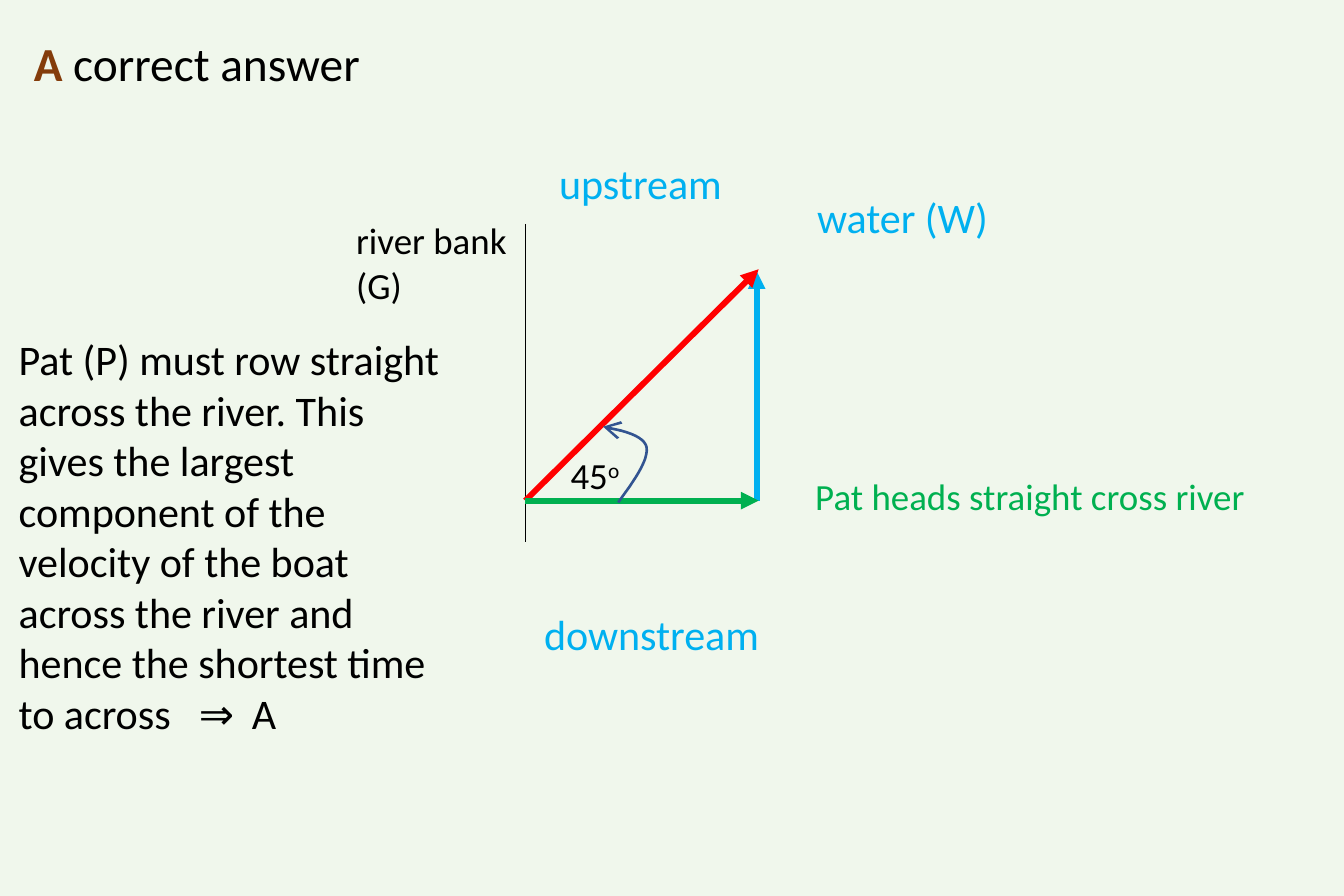
from lxml import etree
from pptx import Presentation
from pptx.dml.color import RGBColor
from pptx.enum.shapes import MSO_CONNECTOR
from pptx.oxml.ns import qn
from pptx.util import Inches, Pt

STRAIGHT = MSO_CONNECTOR.STRAIGHT
BLACK, WATER, PAT, RESULTANT = "000000", "00B0F0", "00B050", "FF0000"
BROWN, ANGLE = "843C0B", "325491"


def rgb(value):
    return RGBColor.from_string(value)


def style_line(stroke, color, width, head=None):
    stroke.line.color.rgb = rgb(color)
    stroke.line.width = Pt(width)
    if head:
        ln = stroke.line._get_or_add_ln()
        etree.SubElement(ln, qn("a:tailEnd"), type=head)


deck = Presentation()
deck.slide_width, deck.slide_height = Inches(18 / 2.54), Inches(12 / 2.54)
slide = deck.slides.add_slide(deck.slide_layouts[6])
backdrop = slide.background.fill
backdrop.solid()
backdrop.fore_color.rgb = rgb("F0F7EC")

origin, landing, tip = (2.77, 2.64), (4, 2.64), (4, 1.42)
vectors = [
    ((2.77, 1.18), (2.77, 2.86), BLACK, 0.5, None),
    ((3.99, 2.64), (3.99, 1.43), WATER, 2.25, "triangle"),
    (origin, tip, RESULTANT, 2.25, "triangle"),
    (origin, landing, PAT, 2.25, "triangle"),
]
for start, end, color, width, head in vectors:
    vector = slide.shapes.add_connector(STRAIGHT, *map(Inches, start + end))
    style_line(vector, color, width, head)
    etree.SubElement(vector._element.spPr, qn("a:effectLst"))

curves = [
    [(3.26, 2.65), (3.34, 2.54), (3.42, 2.43), (3.41, 2.36)],
    [(3.41, 2.36), (3.4, 2.3), (3.29, 2.27), (3.18, 2.25)],
]
steps = 12
arc_points = []
for curve in curves:
    for step in range(1, steps + 1):
        t = step / steps
        weights = ((1 - t) ** 3, 3 * t * (1 - t) ** 2, 3 * t ** 2 * (1 - t), t ** 3)
        arc_points.append(tuple(
            Inches(sum(w * point[axis] for w, point in zip(weights, curve)))
            for axis in (0, 1)))
outline = slide.shapes.build_freeform(*map(Inches, curves[0][0]))
outline.add_line_segments(arc_points, close=False)
angle_arc = outline.convert_to_shape()
angle_arc.shadow.inherit = False
angle_arc.fill.background()
style_line(angle_arc, ANGLE, 1, "arrow")

advice = ("Pat (P) must row straight across the river. This gives the largest "
          "component of the velocity of the boat across the river and hence "
          "the shortest time to across\t⇒\tA")
labels = [
    ((1.78, 1.1, 1, 0.57), 14, False, [[("river bank", BLACK)], [("(G)", BLACK)]]),
    ((4.2, 2.45, 2.59, 0.34), 14, False, [[("Pat heads straight cross river", PAT)]]),
    ((2.91, 2.34, 0.55, 0.34), 14, True, [[("45", BLACK), ("o", BLACK)]]),
    ((0, 1.71, 2.45, 2.26), 16, True, [[(advice, BLACK)]]),
    ((2.85, 0.78, 1.07, 0.37), 16, False, [[("upstream", WATER)]]),
    ((2.77, 3.16, 1.35, 0.37), 16, False, [[("downstream", WATER)]]),
    ((4.21, 0.96, 1.12, 0.37), 16, False, [[("water (W)", WATER)]]),
    ((0.08, 0.13, 1.94, 0.4), 18, False, [[("A", BROWN), (" correct answer", BLACK)]]),
]
for place, size, wrap, paragraphs in labels:
    frame = slide.shapes.add_textbox(*map(Inches, place)).text_frame
    frame.word_wrap = wrap
    for index, pieces in enumerate(paragraphs):
        paragraph = frame.add_paragraph() if index else frame.paragraphs[0]
        for text, color in pieces:
            if "\t" in text:
                tabs = etree.SubElement(paragraph._p.get_or_add_pPr(), qn("a:tabLst"))
                for stop in (0.95, 1.23):
                    etree.SubElement(tabs, qn("a:tab"), pos=str(Inches(stop)), algn="l")
            run = paragraph.add_run()
            run.text = text
            run.font.name = "Calibri"
            run.font.size = Pt(size)
            run.font.bold = color == BROWN
            run.font.color.rgb = rgb(color)
            if text == "o":
                run._r.get_or_add_rPr().set("baseline", "30000")

deck.save("out.pptx")
